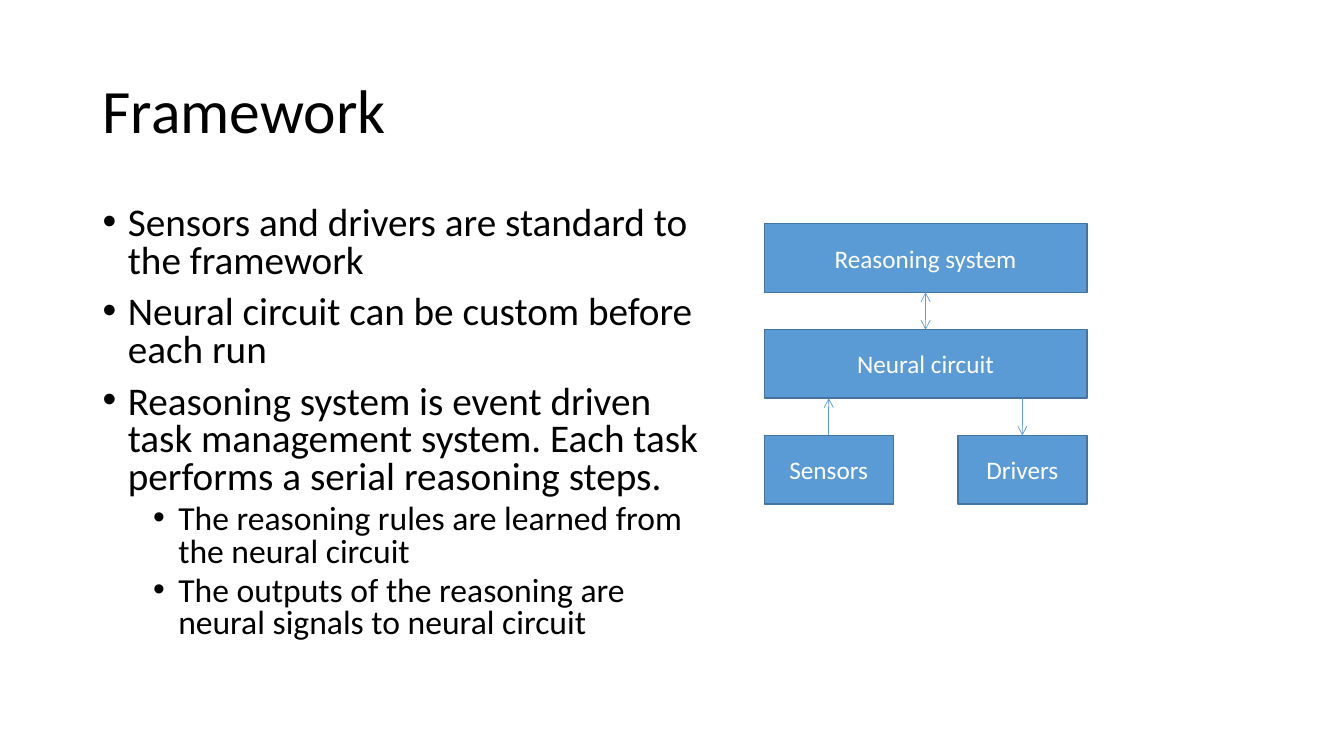
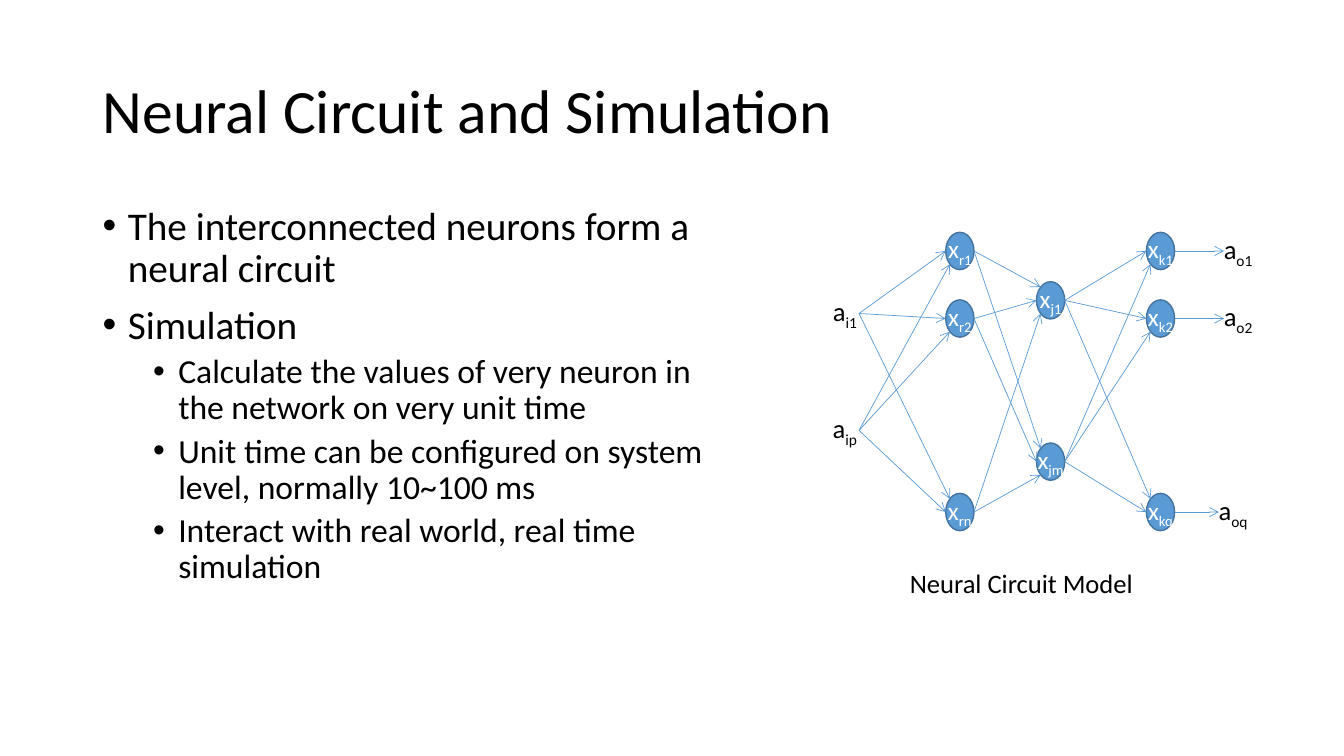
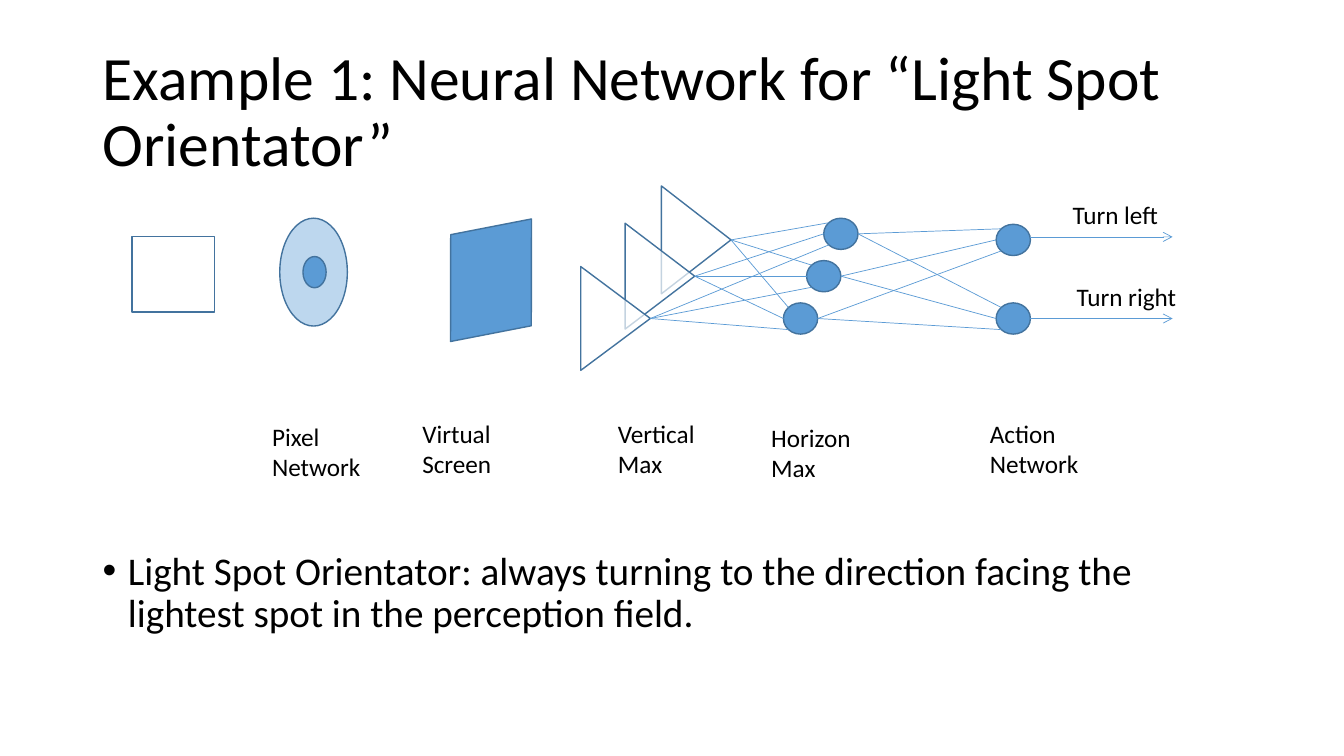
from itertools import product

from lxml.etree import SubElement as Sub
from pptx import Presentation
from pptx.dml.color import RGBColor as Rgb
from pptx.enum.shapes import MSO_CONNECTOR as Conn, MSO_SHAPE as Form
from pptx.enum.text import MSO_ANCHOR as Anchor, MSO_AUTO_SIZE as Auto, PP_ALIGN as Align
from pptx.oxml.ns import qn
from pptx.util import Inches, Pt


class Theme:
    font = "Calibri"
    ink, white = "000000", "FFFFFF"
    blue, edge, pale = "5B9BD5", "43739E", "BDD7EE"
    title, body, sub, tag, label = 44, 28, 24, 19, 18
    thin, rim = 0.5, 1


WIDE, HIGH = 13.33, 7.5
LEFT = 0.92
SIDES = {"l": (-1, 0), "r": (1, 0), "u": (-0.71, -0.71), "d": (-0.71, 0.71)}

FRAME = {
    "title": "Framework",
    "body": [
        (0, "Sensors and drivers are standard to the framework"),
        (0, "Neural circuit can be custom before each run"),
        (0, "Reasoning system is event driven task management system. "
            "Each task performs a serial reasoning steps."),
        (1, "The reasoning rules are learned from the neural circuit"),
        (1, "The outputs of the reasoning are neural signals to neural circuit"),
    ],
    "boxes": [("Reasoning system", 0, 0, 1), ("Neural circuit", 1, 0, 1),
              ("Sensors", 2, 0, 0.4), ("Drivers", 2, 0.6, 0.4)],
    "links": [(0.2, 2, "up"), (0.8, 2, "down"), (0.5, 1, "both")],
}

CIRCUIT = {
    "title": "Neural Circuit and Simulation",
    "body": [
        (0, "The interconnected neurons form a neural circuit"),
        (0, "Simulation"),
        (1, "Calculate the values of very neuron in the network on very unit time"),
        (1, "Unit time can be configured on system level, normally 10~100 ms"),
        (1, "Interact with real world, real time simulation"),
    ],
    "nodes": [
        ("a", 8.38, {"i1": 3.11, "ip": 4.27}),
        ("x", 9.52, {"r1": 2.49, "r2": 3.16, "rn": 5.08}),
        ("x", 10.42, {"j1": 2.98, "jm": 4.58}),
        ("x", 11.51, {"k1": 2.49, "k2": 3.16, "kq": 5.08}),
        ("a", 12.28, {"o1": 2.49, "o2": 3.16}),
        ("a", 12.23, {"oq": 5.08}),
    ],
    "links": {
        "i1": "r1:l r2:l rn:u", "ip": "r1:d r2:d rn:l",
        "r1": "j1:u jm:u", "r2": "j1:l jm:l", "rn": "j1:d jm:d",
        "j1": "k1:l k2:l kq:u", "jm": "k1:d k2:d kq:l",
        "k1": "o1:l", "k2": "o2:l", "kq": "oq:l",
    },
    "name": ("Neural Circuit Model", (10.13, 5.78)),
}

SPOT = {
    "title": "Example 1: Neural Network for “Light Spot Orientator”",
    "body": [(0, "Light Spot Orientator: always turning to the direction "
                 "facing the lightest spot in the perception field.")],
    "tips": [(7.25, 2.38, 1.07), (6.89, 2.74, 1.05), (6.45, 3.16, 1.03)],
    "cells": [(8.34, 2.32), (8.17, 2.74), (7.94, 3.16)],
    "acts": [(10.05, 2.38), (10.05, 3.16)],
    "turns": [2.35, 3.16],
    "labels": [
        ("Pixel\nNetwork", 2.6, 4.13), ("Virtual\nScreen", 4.09, 4.1),
        ("Vertical\nMax", 6.03, 4.1), ("Horizon\nMax", 7.55, 4.14),
        ("Action\nNetwork", 9.72, 4.1),
        ("Turn left", 10.54, 1.93), ("Turn right", 10.58, 2.74),
    ],
}


def write(para, text, size=Theme.label, color=Theme.ink, align=None, low=""):
    para.alignment = align
    for part in filter(None, (text, low)):
        run = para.add_run()
        run.text = part
        run.font.name, run.font.size = Theme.font, Pt(size)
        run.font.color.rgb = Rgb.from_string(color)
    if low:
        run.font._element.set("baseline", "-25000")


def area(slide, left, top, width, height):
    box = slide.shapes.add_textbox(*map(Inches, (left, top, width, height)))
    box.text_frame.word_wrap = True
    return box.text_frame


def shape(slide, form, mid, size, fill=Theme.blue, alpha=None, turn=0):
    (x, y), (w, h) = mid, size
    item = slide.shapes.add_shape(form, *map(Inches, (x - w / 2, y - h / 2, w, h)))
    item.shadow.inherit = False
    item.rotation = turn
    if fill:
        item.fill.solid()
        item.fill.fore_color.rgb = Rgb.from_string(fill)
        item.line.color.rgb = Rgb.from_string(Theme.edge)
        item.line.width = Pt(Theme.rim)
    else:
        item.fill.background()
        item.line.fill.background()
    if alpha:
        tint = item._element.spPr.find(qn("a:solidFill"))[0]
        Sub(tint, qn("a:alpha"), val=str(alpha * 1000))
    return item


def tag(item, text, wrap=True, **look):
    frame = item.text_frame
    frame.word_wrap = wrap
    frame.vertical_anchor = Anchor.MIDDLE
    write(frame.paragraphs[0], text, align=Align.CENTER, **look)


def link(slide, start, end, heads=()):
    line = slide.shapes.add_connector(Conn.STRAIGHT, *map(Inches, (*start, *end)))
    line.line.color.rgb = Rgb.from_string(Theme.blue)
    line.line.width = Pt(Theme.thin)
    props = line._element.spPr
    for head in heads:
        Sub(props.find(qn("a:ln")), qn(f"a:{head}End"), type="arrow")
    Sub(props, qn("a:effectLst"))


def port(mid, size, side):
    return [m + s * d / 2 for m, s, d in zip(mid, size, SIDES[side])]


def page(deck, data, top=2, width=6.2, height=4.76, pitch=0.9):
    slide = deck.slides.add_slide(deck.slide_layouts[6])
    head = area(slide, LEFT, 0.4, 11.5, 1.45)
    head.vertical_anchor = Anchor.MIDDLE
    head.paragraphs[0].line_spacing = 0.9
    write(head.paragraphs[0], data["title"], size=Theme.title)
    body = area(slide, LEFT, top, width, height)
    for n, (level, text) in enumerate(data["body"]):
        para = body.add_paragraph() if n else body.paragraphs[0]
        para.level, para.line_spacing = level, pitch
        para.space_before = Pt(5 if level else 10)
        props = para._p.get_or_add_pPr()
        props.set("marL", str(Inches(0.25 + level / 2)))
        props.set("indent", str(Inches(-0.25)))
        Sub(props, qn("a:buFont"), typeface="Arial")
        Sub(props, qn("a:buChar"), char="•")
        write(para, text, size=Theme.sub if level else Theme.body)
    return slide


def framework(deck):
    slide = page(deck, FRAME, pitch=0.8)
    left, top, width, high, step = 7.58, 2.22, 3.2, 0.68, 1.05
    for text, row, col, span in FRAME["boxes"]:
        mid = left + (col + span / 2) * width, top + row * step + high / 2
        box = shape(slide, Form.RECTANGLE, mid, (span * width, high))
        tag(box, text, color=Theme.white)
    ends = {"up": ["tail"], "down": ["head"], "both": ["head", "tail"]}
    for col, row, way in FRAME["links"]:
        x, y = left + col * width, top + row * step
        low, high_end = (x, y), (x, y - step + high)
        link(slide, low, high_end, ends[way])


def circuit(deck):
    slide = page(deck, CIRCUIT)
    size = 0.28, 0.37
    spots = {}
    for text, x, rows in CIRCUIT["nodes"]:
        cell = text == "x"
        for low, y in rows.items():
            spots[low] = x, y
            node = shape(slide, Form.OVAL, (x, y), size, Theme.blue if cell else None)
            tag(node, text, wrap=False, low=low,
                size=Theme.label if cell else Theme.tag,
                color=Theme.white if cell else Theme.ink)
    for start, ends in CIRCUIT["links"].items():
        for end in ends.split():
            goal, side = end.split(":")
            link(slide, port(spots[start], size, "r"),
                 port(spots[goal], size, side), ["tail"])
    text, mid = CIRCUIT["name"]
    tag(shape(slide, Form.OVAL, mid, size, None), text, wrap=False, size=Theme.tag)


def spot(deck):
    slide = page(deck, SPOT, top=5.42, width=10.68, height=1.33)
    shape(slide, Form.OVAL, (3.11, 2.7), (0.67, 1.07), Theme.pale)
    shape(slide, Form.OVAL, (3.12, 2.7), (0.23, 0.31))
    shape(slide, Form.RECTANGLE, (1.72, 2.72), (0.82, 0.75), Theme.white)
    screen = shape(slide, Form.PARALLELOGRAM, (4.87, 2.78), (1.02, 1.04), turn=349)
    screen.adjustments[0] = 0.2
    depth, size = 0.69, (0.34, 0.31)
    for x, y, base in SPOT["tips"]:
        shape(slide, Form.ISOSCELES_TRIANGLE, (x - depth / 2, y), (base, depth),
              Theme.white, alpha=69, turn=90)
    for mid in SPOT["cells"] + SPOT["acts"]:
        shape(slide, Form.OVAL, mid, size)
    tips = [tip[:2] for tip in SPOT["tips"]]
    outs = [port(mid, size, "r") for mid in SPOT["cells"]]
    for starts, goals in ((tips, SPOT["cells"]), (outs, SPOT["acts"])):
        for (start, side), goal in product(zip(starts, "uld"), goals):
            link(slide, start, port(goal, size, side))
    for y in SPOT["turns"]:
        link(slide, (10.22, y), (11.63, y), ["tail"])
    for text, x, y in SPOT["labels"]:
        lines = text.split("\n")
        frame = area(slide, x, y, 1.3, 0.1 + 0.3 * len(lines))
        frame.auto_size = Auto.NONE
        for n, line in enumerate(lines):
            write(frame.add_paragraph() if n else frame.paragraphs[0], line)


def main():
    deck = Presentation()
    deck.slide_width, deck.slide_height = Inches(WIDE), Inches(HIGH)
    for build in (framework, circuit, spot):
        build(deck)
    deck.save("out.pptx")


if __name__ == "__main__":
    main()
